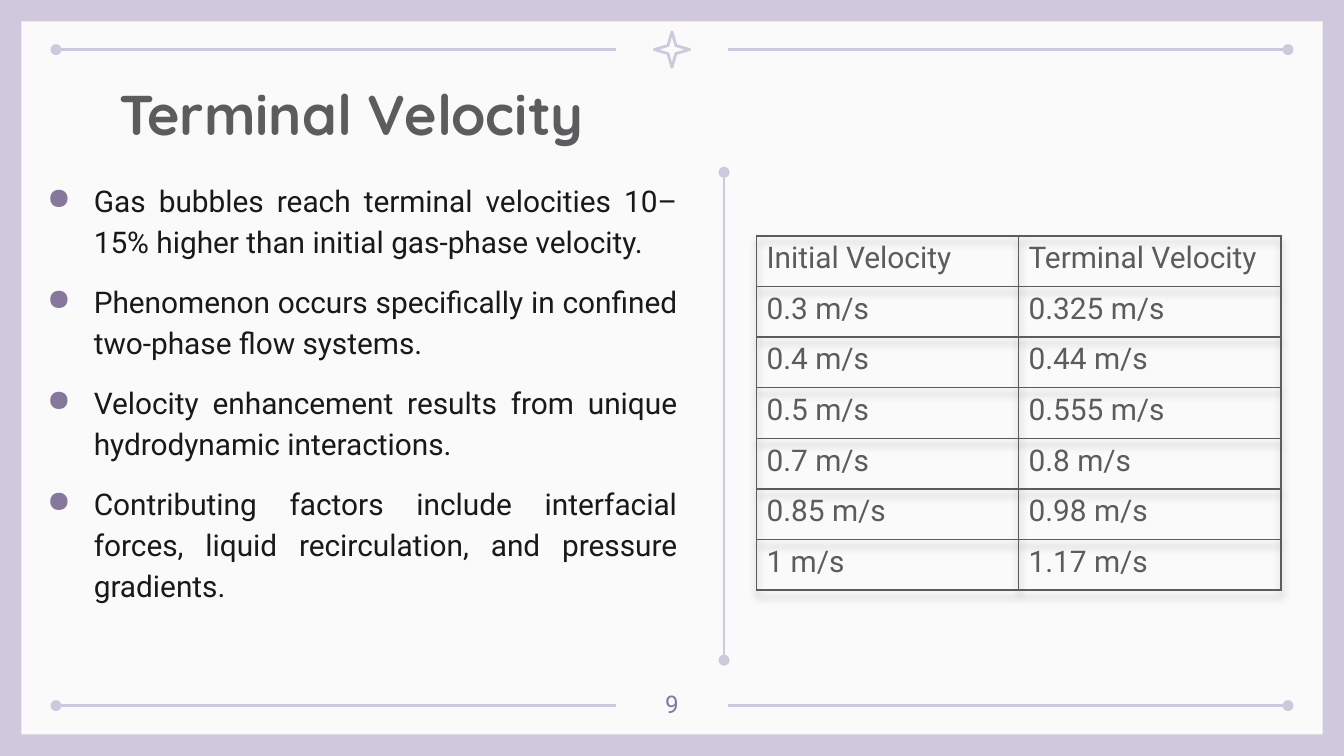
from lxml import etree
from pptx import Presentation
from pptx.dml.color import RGBColor
from pptx.enum.shapes import MSO_CONNECTOR, MSO_SHAPE
from pptx.enum.text import MSO_ANCHOR, PP_ALIGN
from pptx.oxml.ns import qn
from pptx.util import Pt

LINE = MSO_CONNECTOR.STRAIGHT
RECTANGLE, STAR = MSO_SHAPE.RECTANGLE, MSO_SHAPE.STAR_4_POINT
TOP = MSO_ANCHOR.TOP
LEFT, CENTER, JUSTIFY = PP_ALIGN.LEFT, PP_ALIGN.CENTER, PP_ALIGN.JUSTIFY

TITLE = "Terminal Velocity"
PAGE_NUMBER = "9"
POINTS = [
    "Gas bubbles reach terminal velocities 10–15% higher than initial gas-phase velocity.",
    "Phenomenon occurs specifically in confined two-phase flow systems.",
    "Velocity enhancement results from unique hydrodynamic interactions.",
    "Contributing factors include interfacial forces, liquid recirculation, and pressure gradients.",
]
VELOCITIES = [
    ("Initial Velocity", "Terminal Velocity"),
    ("0.3 m/s", "0.325 m/s"),
    ("0.4 m/s", "0.44 m/s"),
    ("0.5 m/s", "0.555 m/s"),
    ("0.7 m/s", "0.8 m/s"),
    ("0.85 m/s", "0.98 m/s"),
    ("1 m/s", "1.17 m/s"),
]

THEME = {
    "lilac": "D0C9DD", "panel": "FAFAFA", "grey": "5C5C5F",
    "accent": "85789C", "ink": "191919",
    "heading_font": "Quicksand", "body_font": "Roboto",
    "title_size": 30, "body_size": 16, "number_size": 13,
    "rule_width": 1.5, "border_width": 1,
}

WIDTH, HEIGHT = 720, 405
MARGIN = 11.5
RULE_START, RULE_LENGTH = 30, 300
RULE_HEIGHTS = (26.6, 378)
STAR_SIZE = 19
COLUMN_WIDTH, ROW_HEIGHT = 140.4, 27.15


def color(key):
    return RGBColor.from_string(THEME[key])


def add_xml(parent, tag, **attributes):
    return etree.SubElement(parent, qn(tag), attributes)


def style_rule(line):
    line.color.rgb = color("lilac")
    line.width = Pt(THEME["rule_width"])


def add_rule(slide, start, end, dots):
    """Draw a line; dots lists the ends ("head", "tail") that carry an oval."""
    rule = slide.shapes.add_connector(LINE, *map(Pt, start + end))
    style_rule(rule.line)
    outline = rule.line._get_or_add_ln()
    for dot in dots:
        add_xml(outline, f"a:{dot}End", type="oval")
    add_xml(rule._element.spPr, "a:effectLst")


def style_paragraph(paragraph, text, font, size, ink, align):
    paragraph.text = text
    paragraph.alignment = align
    paragraph.font.name = THEME[font]
    paragraph.font.size = Pt(THEME[size])
    paragraph.font.color.rgb = color(ink)


def add_text_frame(slide, *box):
    frame = slide.shapes.add_textbox(*map(Pt, box)).text_frame
    frame.word_wrap = True
    frame.vertical_anchor = TOP
    frame.margin_left = frame.margin_right = Pt(7.2)
    frame.margin_top = frame.margin_bottom = Pt(7.2)
    return frame


def add_frame(slide):
    slide.background.fill.solid()
    slide.background.fill.fore_color.rgb = color("lilac")
    panel = slide.shapes.add_shape(RECTANGLE, Pt(MARGIN), Pt(MARGIN),
                                   Pt(WIDTH - 2 * MARGIN), Pt(HEIGHT - 2 * MARGIN))
    panel.shadow.inherit = False
    panel.fill.solid()
    panel.fill.fore_color.rgb = color("panel")
    panel.line.fill.background()

    for y in RULE_HEIGHTS:
        add_rule(slide, (RULE_START, y), (RULE_START + RULE_LENGTH, y), ["head"])
        right = WIDTH - RULE_START
        add_rule(slide, (right - RULE_LENGTH, y), (right, y), ["tail"])

    star = slide.shapes.add_shape(STAR, Pt((WIDTH - STAR_SIZE) / 2),
                                  Pt(RULE_HEIGHTS[0] - STAR_SIZE / 2),
                                  Pt(STAR_SIZE), Pt(STAR_SIZE))
    star.adjustments[0] = 0.16
    star.shadow.inherit = False
    star.fill.background()
    style_rule(star.line)
    add_xml(star.line._get_or_add_ln(), "a:round")


def add_points(slide):
    frame = add_text_frame(slide, 7.2, 87.8, 362.9, 270)
    for i, point in enumerate(POINTS):
        paragraph = frame.add_paragraph() if i else frame.paragraphs[0]
        style_paragraph(paragraph, point, "body_font", "body_size", "ink", JUSTIFY)
        paragraph.line_spacing = 1.15
        paragraph.space_before = Pt(10)
        properties = paragraph._p.get_or_add_pPr()
        properties.set("marL", str(Pt(36)))
        properties.set("indent", str(-Pt(25)))
        bullet_color = etree.Element(qn("a:buClr"))
        add_xml(bullet_color, "a:srgbClr", val=THEME["accent"])
        bullet = etree.Element(qn("a:buChar"), char="●")
        properties.find(qn("a:defRPr")).addprevious(bullet_color)
        bullet_color.addnext(bullet)


def add_borders(cell):
    properties = cell._tc.get_or_add_tcPr()
    for i, side in enumerate(("lnL", "lnR", "lnT", "lnB")):
        border = etree.Element(qn(f"a:{side}"), w=str(Pt(THEME["border_width"])))
        add_xml(add_xml(border, "a:solidFill"), "a:srgbClr", val=THEME["grey"])
        properties.insert(i, border)


def add_table_shadow(table):
    effects = etree.Element(qn("a:effectLst"))
    shadow = add_xml(effects, "a:outerShdw", blurRad=str(Pt(4)), dist=str(Pt(3)),
                     dir="5400000", algn="t", rotWithShape="0")
    black = add_xml(shadow, "a:srgbClr", val="000000")
    add_xml(black, "a:alpha", val="30000")
    table._tbl.tblPr.insert(0, effects)


def add_velocities(slide):
    rows, columns = len(VELOCITIES), len(VELOCITIES[0])
    table = slide.shapes.add_table(rows, columns, Pt(405.3), Pt(126.3),
                                   Pt(columns * COLUMN_WIDTH),
                                   Pt(rows * ROW_HEIGHT)).table
    table.first_row = table.horz_banding = False
    add_table_shadow(table)
    for r, values in enumerate(VELOCITIES):
        table.rows[r].height = Pt(ROW_HEIGHT)
        for c, value in enumerate(values):
            cell = table.cell(r, c)
            cell.fill.background()
            cell.margin_left = cell.margin_right = Pt(5.4)
            cell.margin_top = cell.margin_bottom = 0
            paragraph = cell.text_frame.paragraphs[0]
            style_paragraph(paragraph, value, "body_font", "body_size", "grey", JUSTIFY)
            paragraph.line_spacing = 1.15
            paragraph.space_after = Pt(8)
            add_borders(cell)


def main():
    deck = Presentation()
    deck.slide_width, deck.slide_height = Pt(WIDTH), Pt(HEIGHT)
    slide = deck.slides.add_slide(deck.slide_layouts[6])
    add_frame(slide)
    title = add_text_frame(slide, 56.7, 35.3, 607, 45.4).paragraphs[0]
    style_paragraph(title, TITLE, "heading_font", "title_size", "grey", LEFT)
    title.font.bold = True
    number = add_text_frame(slide, 338.4, 362.2, 43.2, 25.9).paragraphs[0]
    style_paragraph(number, PAGE_NUMBER, "body_font", "number_size", "accent", CENTER)
    add_rule(slide, (387.9, 92.3), (387.9, 353.7), ["head", "tail"])
    add_points(slide)
    add_velocities(slide)
    deck.save("out.pptx")


if __name__ == "__main__":
    main()
